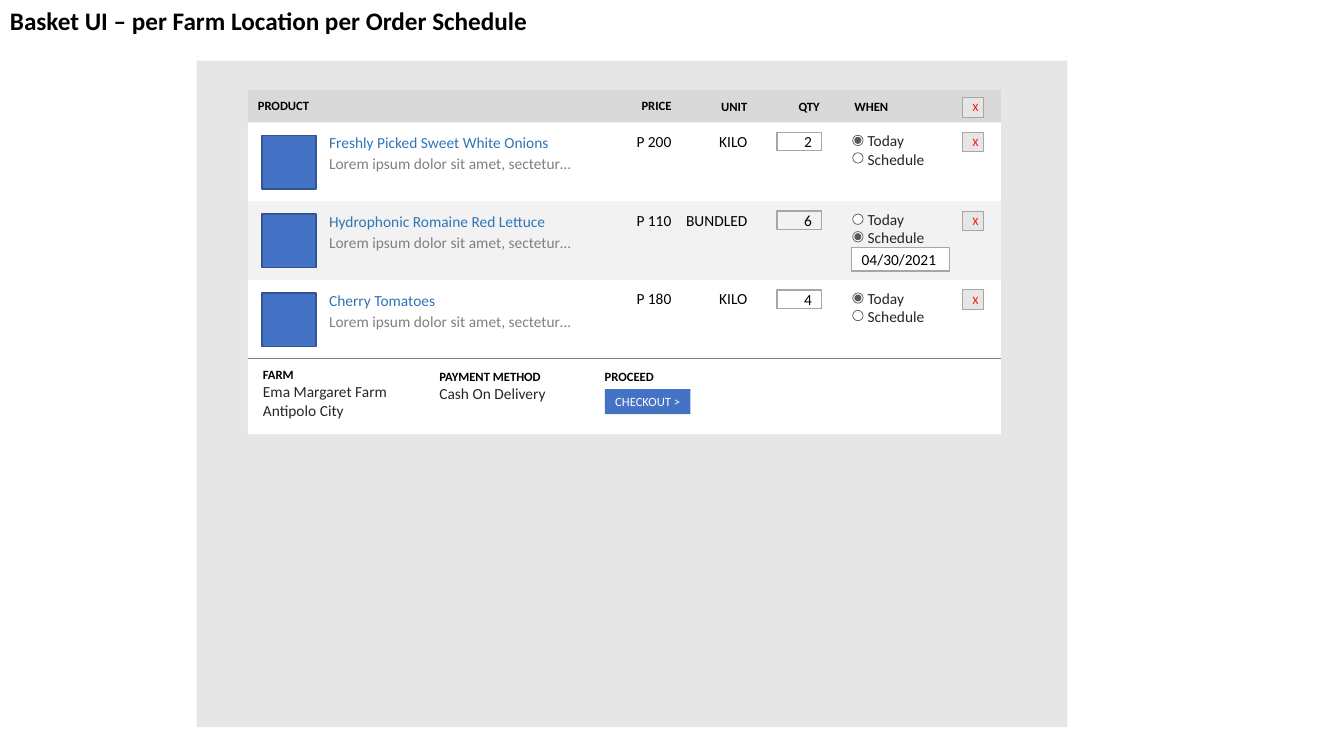
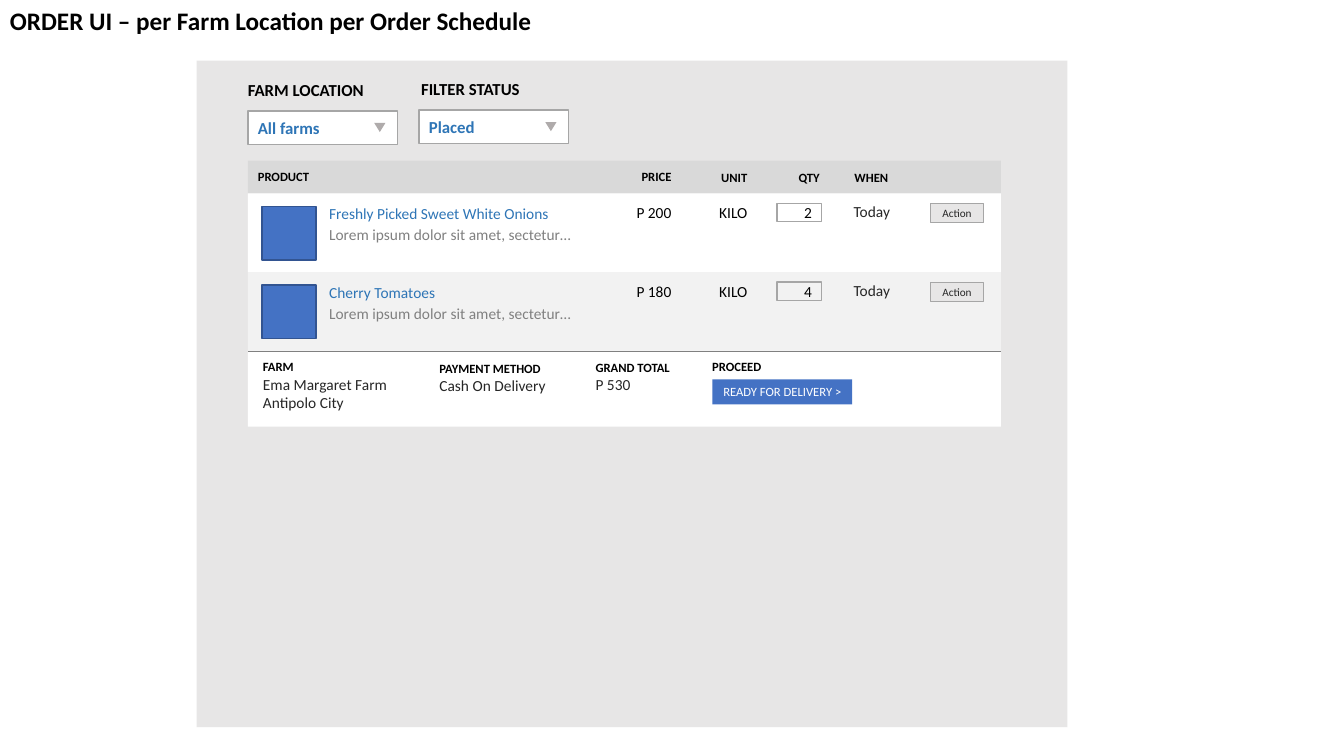
import pptx
import pptx.util
import pptx.dml.color
import pptx.enum.shapes
import pptx.enum.text
import pptx.oxml

Pt = pptx.util.Pt
KIND = pptx.enum.shapes.MSO_SHAPE
ALIGN = pptx.enum.text.PP_ALIGN
MIDDLE = pptx.enum.text.MSO_ANCHOR.MIDDLE

HUES = {
    "black": "000000", "white": "FFFFFF", "ink": "262626", "grey": "808080",
    "page": "E7E6E6", "head": "D9D9D9", "stripe": "F2F2F2", "edge": "A6A6A6",
    "arrow": "AFABAB", "dot": "595959", "link": "2E75B6", "blue": "4472C4",
    "navy": "325491", "red": "FF0000",
}
FONT = "Calibri"
LEFT, WIDE = 177.1, 537.8           # the card that holds the table
HEAD, ROW, FOOT = 23.4, 56.3, 54    # heights of its bands
BLURB = "Lorem ipsum dolor sit amet, sectetur…"
ONION = ("Freshly Picked Sweet White Onions", "P 200", "KILO", "2")
LETTUCE = ("Hydrophonic Romaine Red Lettuce", "P 110", "BUNDLED", "6")
CHERRY = ("Cherry Tomatoes", "P 180", "KILO", "4")


class Mockup:
    """Draws the parts of a shop screen on the current slide."""

    def __init__(self):
        self.deck = pptx.Presentation()
        self.deck.slide_width, self.deck.slide_height = Pt(960), Pt(540)
        self.slide = None

    def hue(self, name):
        return pptx.dml.color.RGBColor.from_string(HUES[name])

    def start(self, title):
        self.slide = self.deck.slides.add_slide(self.deck.slide_layouts[6])
        self.text(title, 0, 0, 960, 18, bold=True)
        self.shape(140.4, 43.4, 622, 476, "page")

    def style(self, frame, text, size, color, bold, align):
        """Sets the words of a text frame and their look."""
        frame.word_wrap = True
        frame.text = text
        for para in frame.paragraphs:
            para.alignment = align
            font = para.font
            font.name, font.size, font.bold = FONT, Pt(size), bold
            font.color.rgb = self.hue(color)

    def text(self, text, x, y, w, size=11, color="black", bold=False,
             align=ALIGN.LEFT):
        lines = text.count("\n") + 1
        high = 7.2 + 1.22 * size * lines
        box = self.slide.shapes.add_textbox(Pt(x), Pt(y), Pt(w), Pt(high))
        self.style(box.text_frame, text, size, color, bold, align)

    def shape(self, x, y, w, h, fill=None, edge=None, width=1,
              kind=KIND.RECTANGLE):
        item = self.slide.shapes.add_shape(kind, Pt(x), Pt(y), Pt(w), Pt(h))
        item.shadow.inherit = False
        if fill:
            item.fill.solid()
            item.fill.fore_color.rgb = self.hue(fill)
        else:
            item.fill.background()
        if edge:
            item.line.color.rgb = self.hue(edge)
            item.line.width = Pt(width)
        else:
            item.line.fill.background()
        return item

    def field(self, text, x, y, w, h, fill=None, edge="edge", width=1,
              size=11, color="black", bold=False, align=ALIGN.LEFT):
        """A box with its text centred in height."""
        box = self.shape(x, y, w, h, fill, edge, width)
        box.text_frame.vertical_anchor = MIDDLE
        self.style(box.text_frame, text, size, color, bold, align)

    def button(self, text, x, y, w, color):
        self.field(text, x, y, w, 14, "page", width=0.75, size=8,
                   color=color, align=ALIGN.CENTER)

    def cross(self, y):
        """The red button that drops a line of the basket."""
        self.button("X", 687.6, y, 15.3, "red")

    def rule(self, y):
        line = self.slide.shapes.add_connector(
            pptx.enum.shapes.MSO_CONNECTOR.STRAIGHT,
            Pt(LEFT), Pt(y), Pt(LEFT + WIDE), Pt(y))
        line.line.color.rgb = self.hue("grey")
        line.line.width = Pt(0.5)
        props = line._element.spPr
        props.append(pptx.oxml.parse_xml(
            '<a:effectLst xmlns:a='
            '"http://schemas.openxmlformats.org/drawingml/2006/main"/>'))

    def header(self, y):
        self.shape(LEFT, y, WIDE, HEAD, "head")
        self.text("PRODUCT", LEFT, y + 2.2, 236, 9, bold=True)
        for text, right, drop in (("PRICE", 486.7, 2.4), ("UNIT", 540.8, 3),
                                  ("QTY", 592.6, 3.2), ("WHEN", 641.5, 3.2)):
            self.text(text, right - 56, y + drop, 56, 9, bold=True,
                      align=ALIGN.RIGHT)

    def row(self, y, item, fill):
        name, price, unit, count = item
        self.shape(LEFT, y, WIDE, ROW, fill)
        self.shape(187.2, y + 9.2, 38.4, 38.4, "blue", "navy")
        self.text(name, 228, y + 4.1, 191.5, color="link")
        self.text(BLURB, 228, y + 19.1, 191.5, color="grey")
        for text, right in ((price, 486.7), (unit, 541)):
            self.text(text, right - 61, y + 3.3, 61, align=ALIGN.RIGHT)
        self.field(count, 555.1, y + 7.1, 31.9, 13.2, align=ALIGN.RIGHT)

    def choice(self, y, picked):
        """The Today and Schedule options; picked is the index chosen."""
        self.text("Today\nSchedule", 612.6, y + 2.7, 65, color="ink")
        for spot in range(2):
            top = y + 9.2 + 12.5 * spot
            self.shape(609.1, top, 7.4, 7.4, "white", "dot", 0.5, KIND.OVAL)
            if spot == picked:
                self.shape(610.3, top + 1.2, 5, 5, "dot", kind=KIND.OVAL)

    def entry(self, head, x, y, value=None):
        """A footer heading with its value below."""
        self.text(head, x, y, 111.6, 9, bold=True)
        if value:
            self.text(value, x, y + 11.2, 111.6, color="ink")

    def footer(self, y):
        self.shape(LEFT, y, WIDE, FOOT, "white")
        self.rule(y)
        self.entry("FARM", 180.7, y + 2.2, "Ema Margaret Farm\nAntipolo City")
        self.entry("PAYMENT METHOD", 306.7, y + 3.5, "Cash On Delivery")

    def proceed(self, text, x, y, w):
        self.entry("PROCEED", x - 7.2, y)
        self.field(text, x, y + 18, w, 18, "blue", None, size=9,
                   color="white", align=ALIGN.CENTER)

    def picker(self, label, value, x, y, shift):
        """A labelled drop-down; shift moves the label sideways."""
        self.text(label, x + shift, y - 26, 115, 12, bold=True)
        self.field(value, x, y, 106.8, 24, "white", size=12, color="link",
                   bold=True)
        mark = self.shape(x + 90.2, y + 8.6, 8, 6.5, "arrow",
                          kind=KIND.ISOSCELES_TRIANGLE)
        mark.rotation = 180

    def table(self, y, items):
        """Draws header, rows and footer; gives the tops of rows and footer."""
        self.header(y)
        tops = [y + HEAD + ROW * spot for spot in range(len(items) + 1)]
        for spot, item in enumerate(items):
            self.row(tops[spot], item, ("white", "stripe")[spot % 2])
        self.footer(tops[-1])
        return tops[:-1], tops[-1]


def basket(ui):
    ui.start("Basket UI – per Farm Location per Order Schedule")
    top = 64
    rows, foot = ui.table(top, (ONION, LETTUCE, CHERRY))
    ui.cross(top + 5.8)
    for y, picked in zip(rows, (0, 1, 0)):
        ui.choice(y, picked)
        ui.cross(y + 7.1)
    ui.field("04/30/2021", 608.4, rows[1] + 33, 70, 17, "white")
    ui.proceed("CHECKOUT >", 432, foot + 3.6, 61.2)


def order(ui):
    ui.start("ORDER UI – per Farm Location per Order Schedule")
    ui.picker("FARM LOCATION", "All farms", LEFT, 79.2, -7.2)
    ui.picker("FILTER STATUS", "Placed", 299.3, 78.6, -5.6)
    rows, foot = ui.table(114.7, (ONION, CHERRY))
    for y in rows:
        ui.text("Today", 602.6, y + 3, 46, color="ink")
        ui.button("Action", 664.4, y + 7.1, 38.4, "ink")
    ui.entry("GRAND TOTAL", 418.3, foot + 2.8, "P 530")
    ui.proceed("READY FOR DELIVERY >", 508.8, foot + 2.2, 100)


def main():
    ui = Mockup()
    basket(ui)
    order(ui)
    ui.deck.save("out.pptx")


if __name__ == "__main__":
    main()
